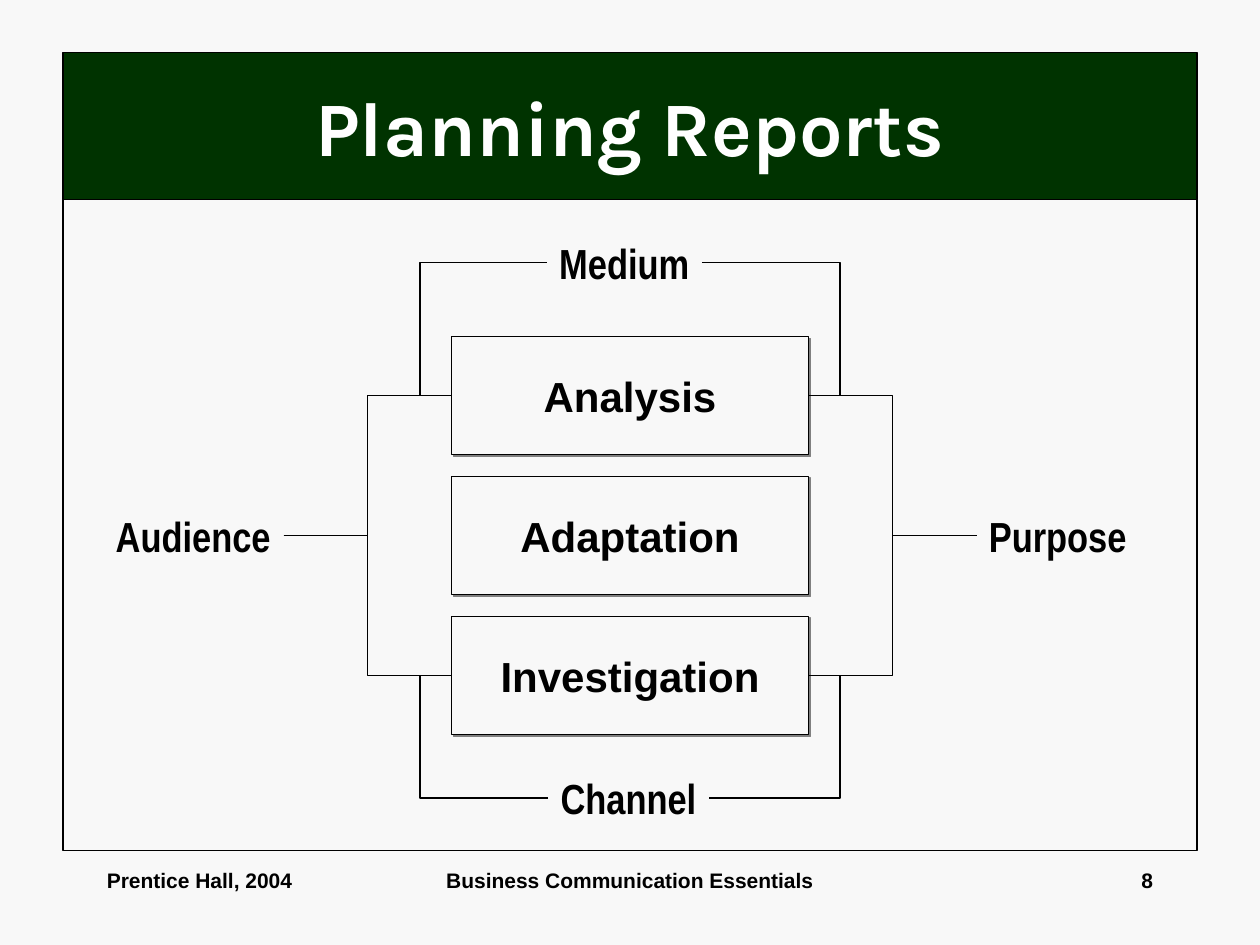
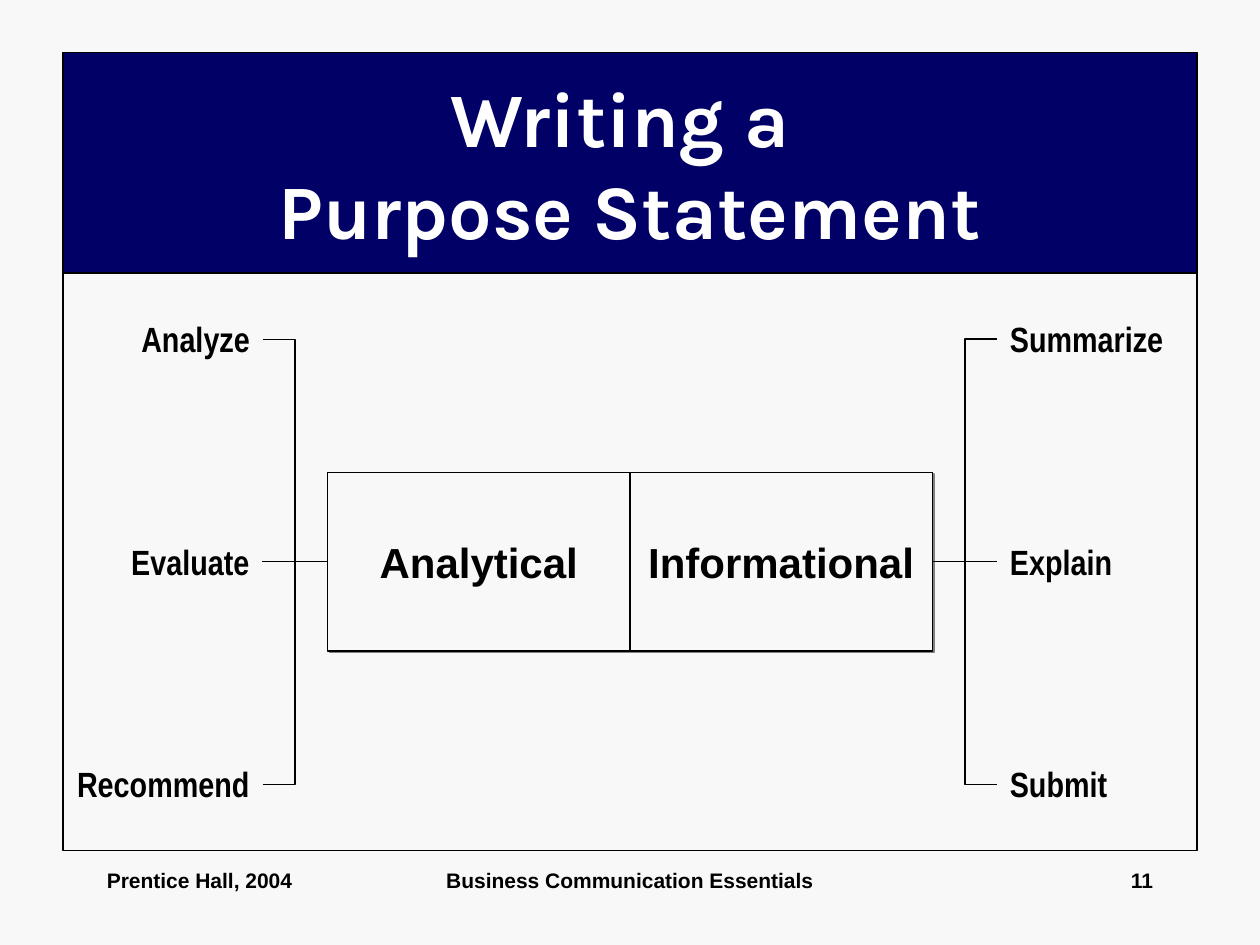
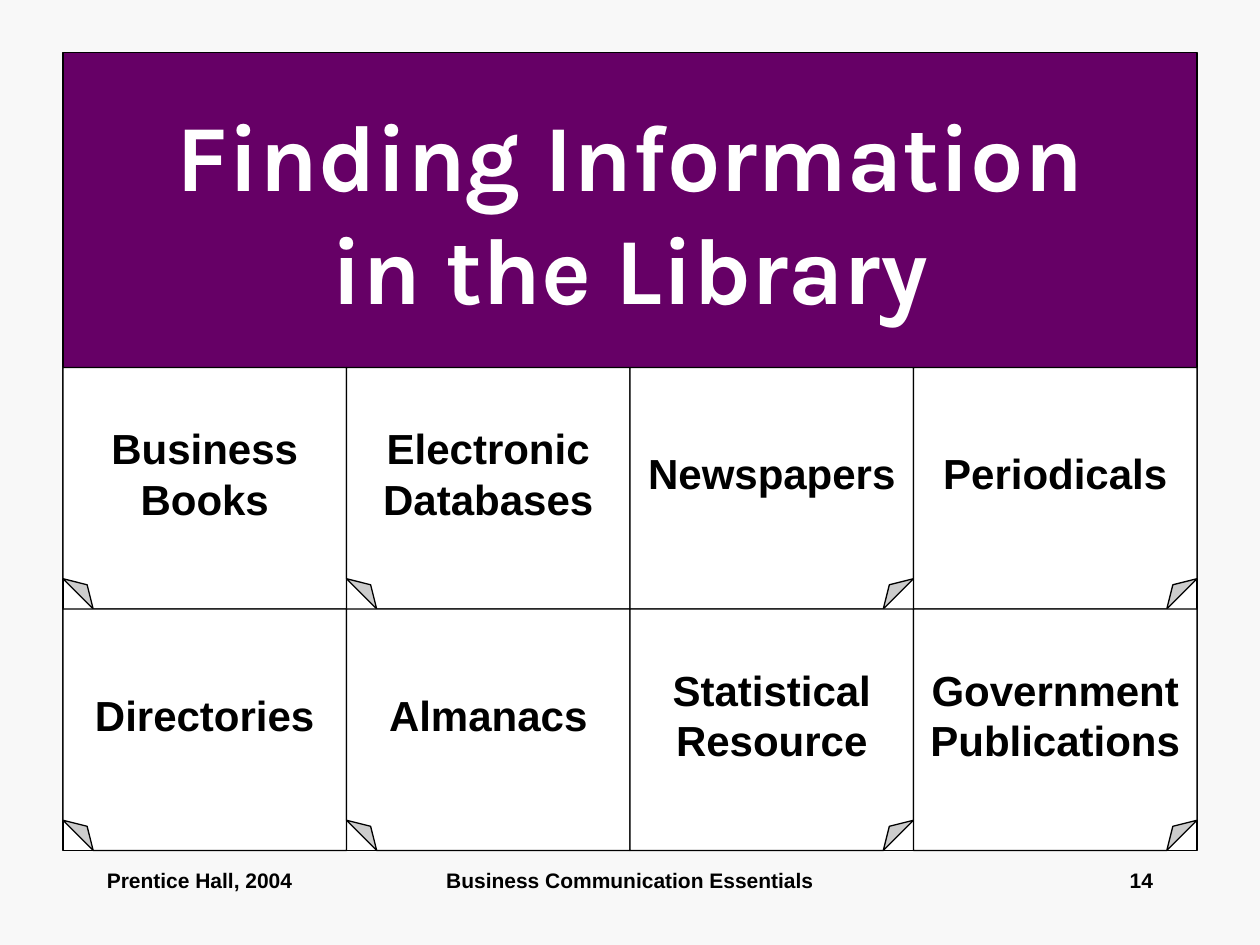
from typing import NamedTuple, Optional

import lxml.etree
import pptx
import pptx.dml.color
import pptx.enum.shapes
import pptx.enum.text
import pptx.oxml.ns
import pptx.util

RGBColor = pptx.dml.color.RGBColor
Shapes = pptx.enum.shapes.MSO_SHAPE
Connectors = pptx.enum.shapes.MSO_CONNECTOR
Align = pptx.enum.text.PP_ALIGN
Anchor = pptx.enum.text.MSO_ANCHOR
AutoSize = pptx.enum.text.MSO_AUTO_SIZE
qn = pptx.oxml.ns.qn

PAPER = RGBColor(0xF8, 0xF8, 0xF8)
WHITE = RGBColor(0xFF, 0xFF, 0xFF)
BLACK = RGBColor(0x00, 0x00, 0x00)
GREEN = RGBColor(0x00, 0x33, 0x00)
NAVY = RGBColor(0x00, 0x00, 0x66)
PURPLE = RGBColor(0x66, 0x00, 0x66)

COLUMNS, ROWS = 120, 90
SLIDE_WIDTH, SLIDE_HEIGHT = pptx.util.Inches(10), pptx.util.Inches(7.5)
FRAME_LEFT, FRAME_WIDTH = 6, 108
BAND_TOP, FRAME_BOTTOM = 5, 81
LINE_WIDTH = pptx.util.Pt(0.75)


class Area(NamedTuple):
    left: float
    top: float
    width: float
    height: float

    @property
    def right(self) -> float:
        return self.left + self.width

    @property
    def middle(self) -> float:
        return self.top + self.height / 2


class Style(NamedTuple):
    size: float
    font: str = "Arial"
    color: RGBColor = BLACK
    align: Align = Align.CENTER


class Band(NamedTuple):
    title: str
    color: RGBColor
    height: float
    size: float
    number: int


class Label(NamedTuple):
    text: str
    area: Area


class Footer(NamedTuple):
    text: str
    area: Area
    align: Align


BOX_STYLE = Style(24)


def across(columns: float) -> int:
    return round(SLIDE_WIDTH * columns / COLUMNS)


def down(rows: float) -> int:
    return round(SLIDE_HEIGHT * rows / ROWS)


def place(area: Area) -> tuple:
    return across(area.left), down(area.top), across(area.width), down(area.height)


def write(box, text: str, style: Style) -> None:
    box.text_frame.text = text
    for para in box.text_frame.paragraphs:
        para.alignment = style.align
        for span in para.runs:
            span.font.name = style.font
            span.font.size = pptx.util.Pt(style.size)
            span.font.bold = True
            span.font.color.rgb = style.color


def paint(box, fill: Optional[RGBColor], outlined: bool = True) -> None:
    if fill is None:
        box.fill.background()
    else:
        box.fill.solid()
        box.fill.fore_color.rgb = fill
    if outlined:
        box.line.color.rgb = BLACK
        box.line.width = LINE_WIDTH
    else:
        box.line.fill.background()


def set_guide(properties, name: str, share: float) -> None:
    guides = properties.find(qn("a:prstGeom")).find(qn("a:avLst"))
    for guide in list(guides):
        guides.remove(guide)
    lxml.etree.SubElement(
        guides, qn("a:gd"), name=name, fmla=f"val {round(share * 100000)}")


def add_box(shapes, area: Area, fill: Optional[RGBColor], text: str = "",
            kind: Shapes = Shapes.RECTANGLE):
    box = shapes.add_shape(kind, *place(area))
    box.shadow.inherit = False
    paint(box, fill)
    if text:
        box.text_frame.word_wrap = False
        box.text_frame.vertical_anchor = Anchor.MIDDLE
        write(box, text, BOX_STYLE)
    return box


def add_shadowed_box(shapes, area: Area, text: str) -> None:
    box = add_box(shapes, area, PAPER, text)
    effects = box.element.spPr.find(qn("a:effectLst"))
    shadow = lxml.etree.SubElement(
        effects, qn("a:outerShdw"), dist=str(int(pptx.util.Pt(1.4))), dir="2700000")
    lxml.etree.SubElement(shadow, qn("a:srgbClr"), val="808080")


def add_label(shapes, label: Label, size: float) -> None:
    box = shapes.add_shape(Shapes.RECTANGLE, *place(label.area))
    box.shadow.inherit = False
    paint(box, PAPER, outlined=False)
    box.text_frame.word_wrap = False
    box.text_frame.auto_size = AutoSize.SHAPE_TO_FIT_TEXT
    box.text_frame.vertical_anchor = Anchor.TOP
    write(box, label.text, Style(size, "Arial Narrow", align=Align.LEFT))


def add_link(shapes, start: tuple, end: tuple, bend: float) -> None:
    straight = start[1] == end[1]
    kind = Connectors.STRAIGHT if straight else Connectors.ELBOW
    link = shapes.add_connector(
        kind, across(start[0]), down(start[1]), across(end[0]), down(end[1]))
    link.line.color.rgb = BLACK
    link.line.width = LINE_WIDTH
    properties = link.element.spPr
    lxml.etree.SubElement(properties, qn("a:effectLst"))
    if straight:
        return
    frame = properties.xfrm
    if frame.flipH:
        frame.flipH, frame.flipV, frame.rot = False, not frame.flipV, 180.0
    set_guide(properties, "adj1", (bend - start[0]) / (end[0] - start[0]))


def add_page(deck, band: Band):
    page = deck.slides.add_slide(deck.slide_layouts[5])
    title = page.shapes.title
    area = Area(FRAME_LEFT, BAND_TOP, FRAME_WIDTH, band.height)
    title.left, title.top, title.width, title.height = place(area)
    paint(title, band.color)
    title.text_frame.auto_size = AutoSize.NONE
    title.text_frame.word_wrap = True
    title.text_frame.vertical_anchor = Anchor.MIDDLE
    write(title, band.title, Style(band.size, "Karla", WHITE))
    footers = (
        Footer("Business Communication Essentials", Area(41, 82, 38, 6), Align.CENTER),
        Footer(str(band.number), Area(86, 82, 25, 6), Align.RIGHT),
        Footer("Prentice Hall, 2004", Area(9, 82, 25, 6), Align.LEFT),
    )
    for footer in footers:
        box = page.shapes.add_textbox(*place(footer.area))
        box.text_frame.word_wrap = True
        write(box, footer.text, Style(12, align=footer.align))
    return page


def frame_below(band: Band) -> Area:
    top = BAND_TOP + band.height
    return Area(FRAME_LEFT, top, FRAME_WIDTH, FRAME_BOTTOM - top)


def build_planning(deck) -> None:
    band = Band("Planning Reports", GREEN, 14, 44, 8)
    shapes = add_page(deck, band).shapes
    center, step, height = 51, 13.33, 11.25
    steps = [Area(43, center + (index - 1) * step - height / 2, 34, height)
             for index in range(3)]
    for text, area in zip(("Analysis", "Adaptation", "Investigation"), steps):
        add_shadowed_box(shapes, area, text)

    audience = Label("Audience", Area(9.84, 48, 17.16, 6))
    purpose = Label("Purpose", Area(93, 48, 15.48, 6))
    medium = Label("Medium", Area(52.08, 22, 14.76, 6))
    channel = Label("Channel", Area(52.2, 73, 15.36, 6))
    for label in (audience, purpose, medium, channel):
        add_label(shapes, label, 24)

    for box, outer in ((steps[0], medium.area), (steps[-1], channel.area)):
        left_end, right_end = (box.left, box.middle), (box.right, box.middle)
        add_link(shapes, (audience.area.right, center), left_end, 35)
        add_link(shapes, (purpose.area.left, center), right_end, 85)
        add_link(shapes, (outer.left, outer.middle), left_end, 40)
        add_link(shapes, (outer.right, outer.middle), right_end, 80)
    add_box(shapes, frame_below(band), None)


def build_purpose(deck) -> None:
    band = Band("Writing a \vPurpose Statement", NAVY, 21, 44, 11)
    shapes = add_page(deck, band).shapes
    analytical = Area(31.2, 45, 28.8, 17)
    informational = analytical._replace(left=analytical.right)
    add_shadowed_box(shapes, analytical, "Analytical")
    add_shadowed_box(shapes, informational, "Informational")

    left_edge, right_edge, step, height = 25, 95, 21.2, 5.28
    verbs = (
        ("Analyze", 12.72, "Summarize", 17.04),
        ("Evaluate", 13.68, "Explain", 12.12),
        ("Recommend", 18.84, "Submit", 11.64),
    )
    center = analytical.middle
    for index, (left_verb, left_width, right_verb, right_width) in enumerate(verbs):
        level = center + (index - 1) * step
        top = level - height / 2
        left_area = Area(left_edge - left_width, top, left_width, height)
        right_area = Area(right_edge, top, right_width, height)
        add_label(shapes, Label(left_verb, left_area), 20)
        add_label(shapes, Label(right_verb, right_area), 20)
        for inner, outer in ((analytical.left, left_edge),
                             (informational.right, right_edge)):
            add_link(shapes, (inner, center), (outer, level), (inner + outer) / 2)
    add_box(shapes, frame_below(band), None)


def build_library(deck) -> None:
    band = Band("Finding Information\vin the Library", PURPLE, 30, 54, 14)
    shapes = add_page(deck, band).shapes.add_group_shape().shapes
    frame = frame_below(band)
    add_box(shapes, frame, WHITE)
    sources = (
        ("Business\nBooks", "Electronic\nDatabases", "Newspapers", "Periodicals"),
        ("Directories", "Almanacs", "Statistical\nResource", "Government\nPublications"),
    )
    height = frame.height / len(sources)
    for row, texts in enumerate(sources):
        width = frame.width / len(texts)
        for column, text in enumerate(texts):
            area = Area(frame.left + column * width, frame.top + row * height,
                        width, height)
            card = add_box(shapes, area, WHITE, text, Shapes.FOLDED_CORNER)
            set_guide(card.element.spPr, "adj", 0.125)
            if column < len(texts) / 2:
                card.element.spPr.xfrm.flipH = True


def main() -> None:
    deck = pptx.Presentation()
    deck.slide_width, deck.slide_height = SLIDE_WIDTH, SLIDE_HEIGHT
    background = deck.slide_master.background.fill
    background.solid()
    background.fore_color.rgb = PAPER
    build_planning(deck)
    build_purpose(deck)
    build_library(deck)
    deck.save("out.pptx")


if __name__ == "__main__":
    main()
